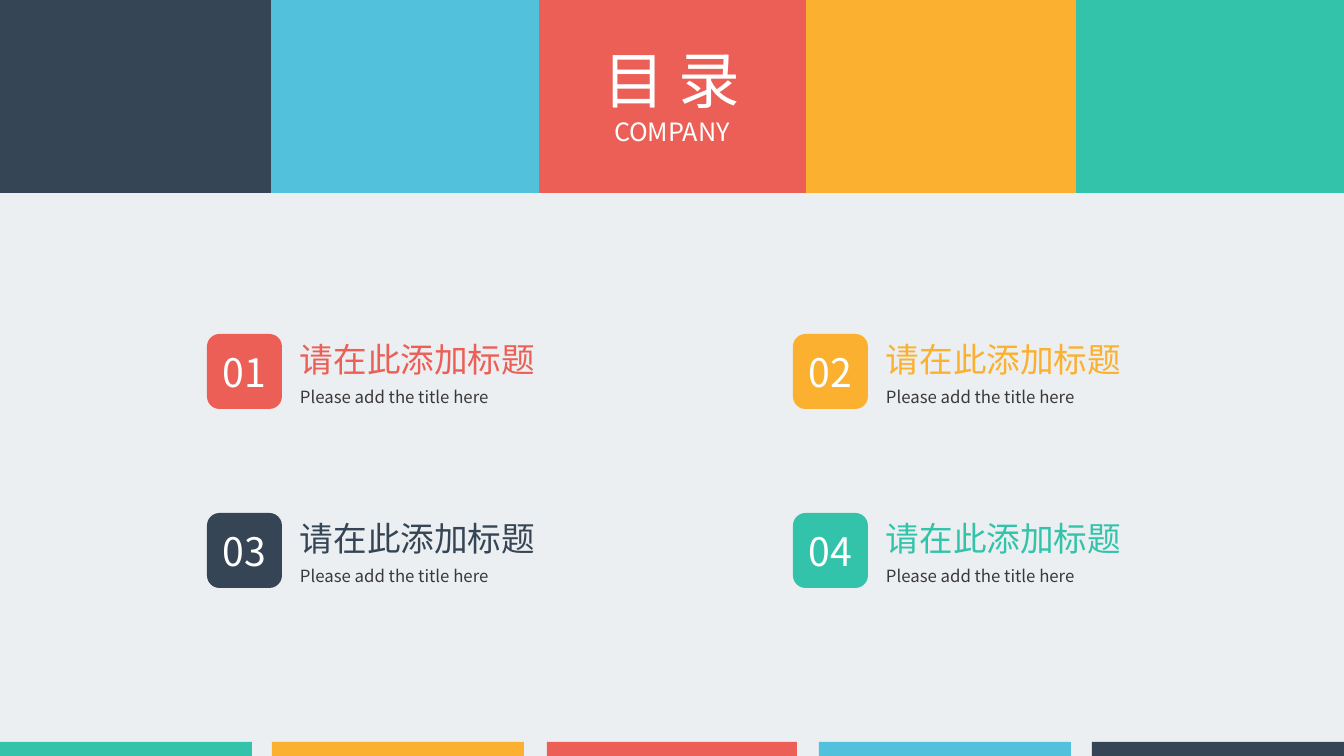
"""Build the four-part contents slide with its coloured bands."""
from lxml.etree import SubElement
from pptx import Presentation
from pptx.dml.color import RGBColor
from pptx.enum.shapes import MSO_SHAPE
from pptx.enum.text import MSO_ANCHOR, MSO_AUTO_SIZE, PP_ALIGN
from pptx.oxml.ns import qn
from pptx.util import Emu, Pt

NAVY = RGBColor(0x36, 0x45, 0x55)
BLUE = RGBColor(0x52, 0xC2, 0xDC)
RED = RGBColor(0xEB, 0x5F, 0x56)
ORANGE = RGBColor(0xFC, 0xB0, 0x30)
GREEN = RGBColor(0x33, 0xC3, 0xAB)
WHITE = RGBColor(0xFF, 0xFF, 0xFF)
CHARCOAL = RGBColor(0x3B, 0x38, 0x38)
PALE = RGBColor(0xEC, 0xEF, 0xF1)


class ContentsPage:
    font = "Noto Sans CJK SC"
    scale = 914400 / 100.8

    def __init__(self, deck):
        deck.slide_width, deck.slide_height = self.lengths(1344, 756)
        self.page = deck.slides.add_slide(deck.slide_layouts[5])
        self.page.background.fill.solid()
        self.page.background.fill.fore_color.rgb = PALE

    def lengths(self, *pixels):
        return [Emu(round(pixel * self.scale)) for pixel in pixels]

    def set_text(self, box, lines, color, align=PP_ALIGN.LEFT, anchor=MSO_ANCHOR.TOP):
        frame = box.text_frame
        frame.word_wrap = True
        frame.auto_size = MSO_AUTO_SIZE.NONE
        frame.vertical_anchor = anchor
        frame.text = "\n".join(text for text, size in lines)
        for para, (text, size) in zip(frame.paragraphs, lines):
            para.alignment = align
            para.font.size = Pt(size)
            para.font.color.rgb = color
            para.font.name = self.font
            defaults = para._p.pPr.find(qn("a:defRPr"))
            SubElement(defaults, qn("a:ea"), typeface=self.font)

    def block(self, area, color, kind=MSO_SHAPE.RECTANGLE):
        shape = self.page.shapes.add_shape(kind, *self.lengths(*area))
        shape.shadow.inherit = False
        shape.fill.solid()
        shape.fill.fore_color.rgb = color
        shape.line.fill.background()
        return shape

    def title(self, area, lines):
        box = self.page.shapes.title
        box.left, box.top, box.width, box.height = self.lengths(*area)
        self.set_text(box, lines, WHITE, PP_ALIGN.CENTER)
        self.page.shapes._spTree.append(box._element)

    def label(self, area, text, size, color):
        box = self.page.shapes.add_textbox(*self.lengths(*area))
        self.set_text(box, [(text, size)], color)

    def entry(self, left, top, number, color):
        tile = self.block((left, top, 75, 75), color, MSO_SHAPE.ROUNDED_RECTANGLE)
        self.set_text(tile, [(f"{number:02}", 28)], WHITE, PP_ALIGN.CENTER, MSO_ANCHOR.MIDDLE)
        self.label((left + 83, top + 48, 216, 30), "Please add the title here", 12, CHARCOAL)
        self.label((left + 83, top, 260, 50), "请在此添加标题", 24, color)


def main():
    deck = Presentation()
    contents = ContentsPage(deck)

    bands = [(1073, 271, GREEN), (805, 271, ORANGE), (537, 269, RED),
             (267, 272, BLUE), (0, 271, NAVY)]
    for left, width, color in bands:
        contents.block((left, 0, width, 193), color)
    contents.title((590, 37, 164, 119), [("目 录", 44), ("COMPANY", 18)])

    for index, color in enumerate([RED, ORANGE, NAVY, GREEN]):
        row, column = divmod(index, 2)
        contents.entry(207 + 586 * column, 334 + 179 * row, index + 1, color)

    footers = [(0, 252, GREEN), (272, 252, ORANGE), (547, 250, RED),
               (819, 252, BLUE), (1092, 252, NAVY)]
    for left, width, color in footers:
        contents.block((left, 742, width, 14), color)

    deck.save("out.pptx")


if __name__ == "__main__":
    main()
